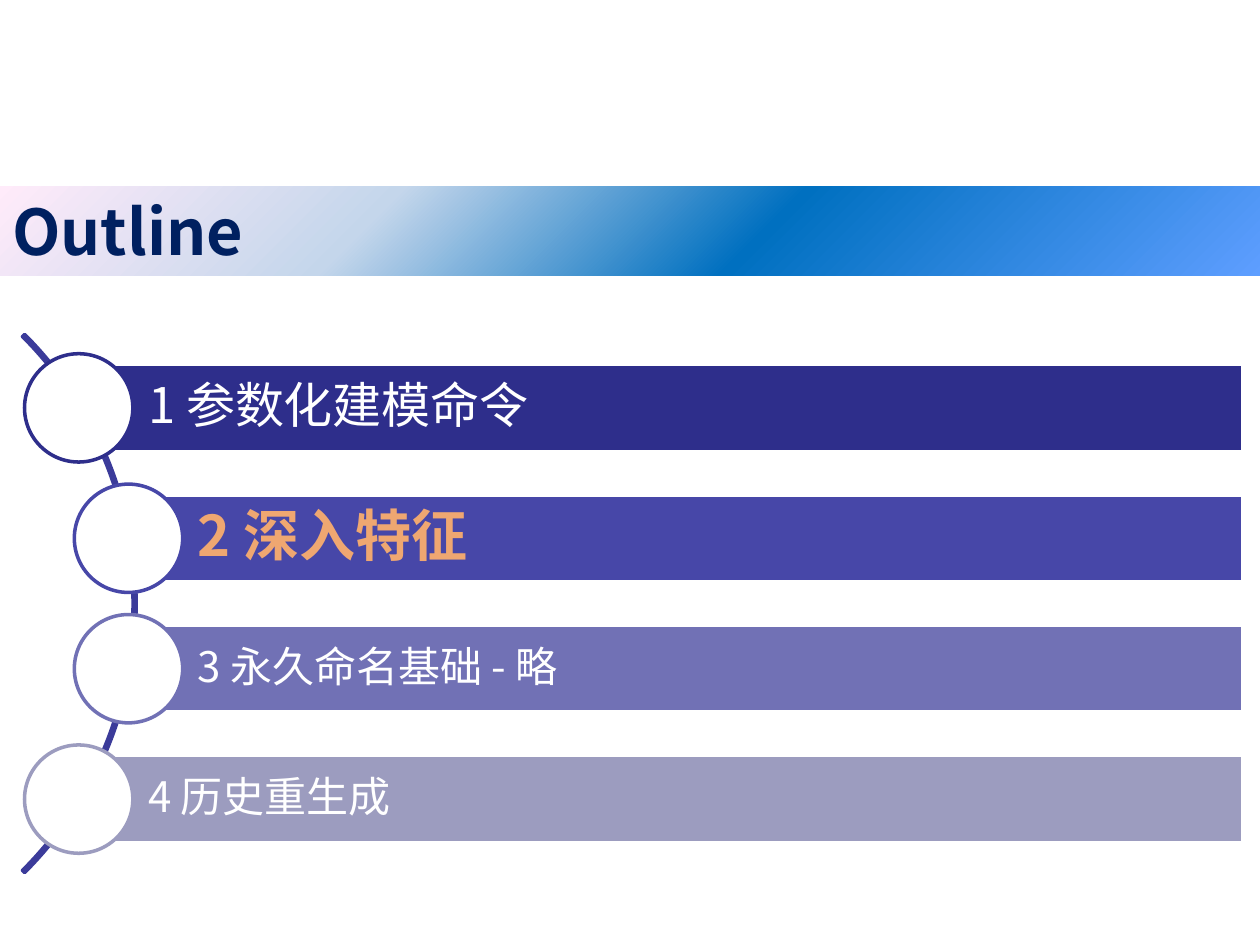
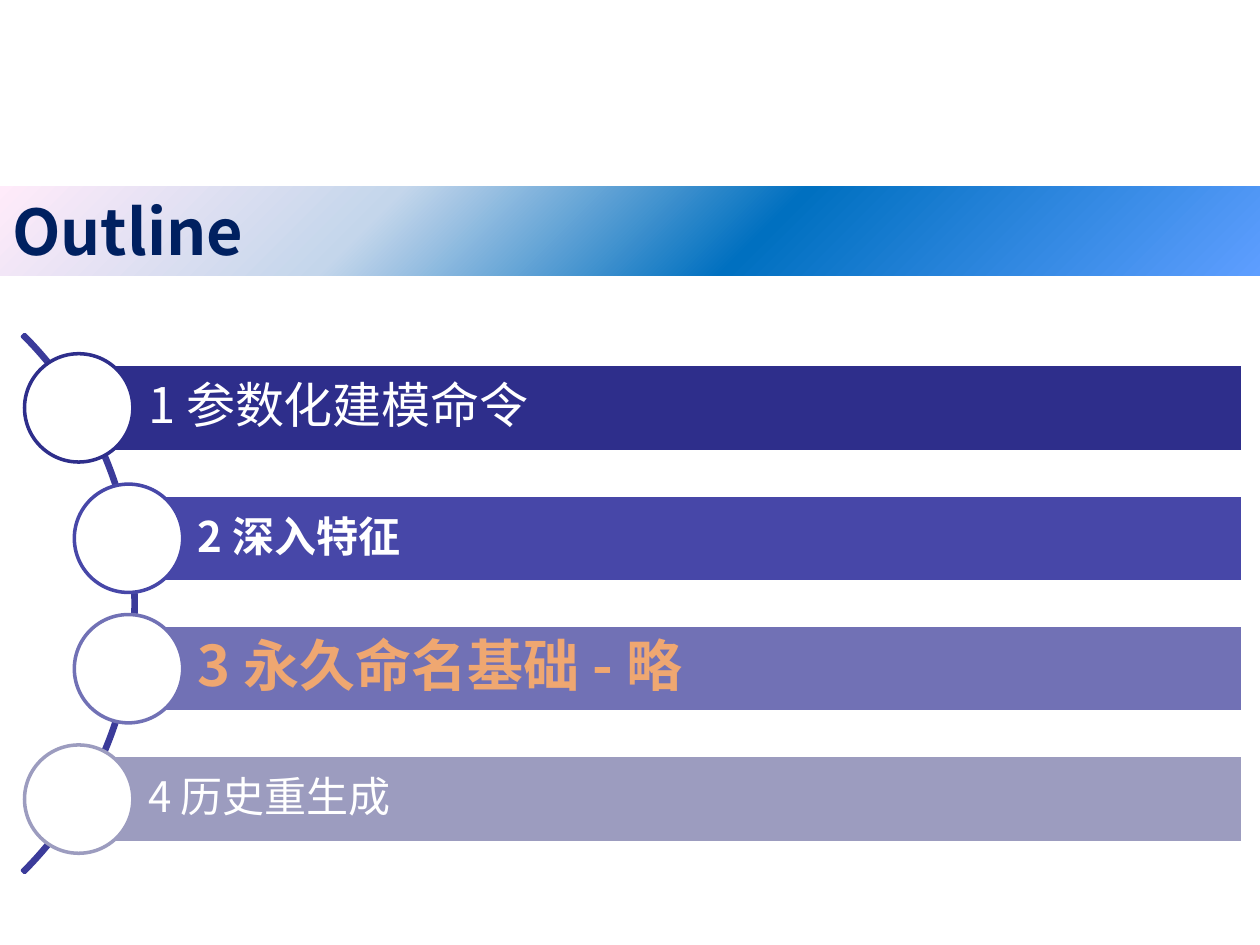
from dataclasses import dataclass

from lxml import etree
from pptx import Presentation
from pptx import util as u
from pptx.dml.color import RGBColor
from pptx.enum import shapes, text
from pptx.oxml.ns import qn

SHAPE = shapes.MSO_SHAPE


@dataclass(frozen=True)
class Theme:
    font: str = "Noto Sans CJK SC"
    white: str = "FFFFFF"
    title: str = "002060"
    arc: str = "3B3B9A"
    active: str = "EFA771"
    band: tuple = ((0, "5E9EFF"), (40, "0070C0"), (70, "C4D6EB"), (100, "FFEBFA"))
    band_angle: int = 225
    title_size: int = 36
    active_size: int = 32
    line: int = 2


@dataclass(frozen=True)
class Topic:
    label: str
    color: str
    left: float
    size: int = 24
    bold: bool = False


T = Theme()
WIDTH, HEIGHT = 10, 7.5

# Topic list: equal rows, the circles centred on the left ends of the bars
MIDDLE, PITCH = 4.79, 1.035
BAR_HEIGHT, BAR_RIGHT = 0.69, 9.86
CIRCLE = 0.86
ARC, ARC_CENTER = 6.04, -1.94
OUTER, INNER = 0.625, 1.02

TOPICS = (
    Topic("1 参数化建模命令", "2E2E8B", OUTER, size=28),
    Topic("2 深入特征", "4747A8", INNER, bold=True),
    Topic("3 永久命名基础 - 略", "7171B5", INNER),
    Topic("4 历史重生成", "9C9CBF", OUTER),
)


def rgb(color):
    return RGBColor.from_string(color)


def add_shape(parent, kind, box, fill=None, line=None):
    sp = parent.add_shape(kind, *map(u.Inches, box))
    sp.shadow.inherit = False
    if fill:
        sp.fill.solid()
        sp.fill.fore_color.rgb = rgb(fill)
    else:
        sp.fill.background()
    if line:
        sp.line.color.rgb = rgb(line)
        sp.line.width = u.Pt(T.line)
    else:
        sp.line.fill.background()
    return sp


def set_gradient(sp, stops, angle):
    """Fill with any number of (percent, colour) stops, angle clockwise."""
    sp.fill.gradient()
    grad = sp._element.spPr.find(qn("a:gradFill"))
    for child in list(grad):
        grad.remove(child)
    stop_list = etree.SubElement(grad, qn("a:gsLst"))
    for percent, color in stops:
        stop = etree.SubElement(stop_list, qn("a:gs"), pos=str(percent * 1000))
        etree.SubElement(stop, qn("a:srgbClr"), val=color)
    etree.SubElement(grad, qn("a:lin"), ang=str(angle * 60000), scaled="0")


def write(tf, content, size, color, bold=False, **frame):
    """Write one left-aligned paragraph; frame holds text frame settings."""
    for name, value in {"word_wrap": True, **frame}.items():
        setattr(tf, name, value)
    p = tf.paragraphs[0]
    p.alignment = text.PP_ALIGN.LEFT
    r = p.add_run()
    r.text = content
    for name, value in {"name": T.font, "size": u.Pt(size), "bold": bold}.items():
        setattr(r.font, name, value)
    r.font.color.rgb = rgb(color)
    etree.SubElement(r._r.get_or_add_rPr(), qn("a:ea"), typeface=T.font)
    return p


def add_title_band(s, title):
    sp = add_shape(s.shapes, SHAPE.RECTANGLE, (0, 1.48, WIDTH, 0.71))
    set_gradient(sp, T.band, T.band_angle)
    write(sp.text_frame, title, T.title_size, T.title, bold=True,
          vertical_anchor=text.MSO_ANCHOR.TOP,
          auto_size=text.MSO_AUTO_SIZE.SHAPE_TO_FIT_TEXT)


def add_arc(parent):
    box = (ARC_CENTER - ARC / 2, MIDDLE - ARC / 2, ARC, ARC)
    sp = add_shape(parent, SHAPE.BLOCK_ARC, box, line=T.arc)
    for i, value in enumerate((189, 27, 0.004)):
        sp.adjustments[i] = value


def add_topic(parent, topic, center, active):
    bar = (topic.left, center - BAR_HEIGHT / 2, BAR_RIGHT - topic.left, BAR_HEIGHT)
    add_shape(parent, SHAPE.RECTANGLE, bar, topic.color, T.white)

    size = T.active_size if active else topic.size
    inset = u.Inches(size / 360)
    label = parent.add_textbox(*map(u.Inches, bar))
    p = write(label.text_frame, topic.label, size,
              T.active if active else T.white, active or topic.bold,
              vertical_anchor=text.MSO_ANCHOR.MIDDLE, margin_left=u.Inches(0.55),
              margin_top=inset, margin_right=inset, margin_bottom=inset)
    p.line_spacing = 0.9

    circle = (topic.left - CIRCLE / 2, center - CIRCLE / 2, CIRCLE, CIRCLE)
    add_shape(parent, SHAPE.OVAL, circle, T.white, topic.color)


def add_outline(prs, active_row):
    s = prs.slides.add_slide(prs.slide_layouts[6])
    add_title_band(s, "Outline")
    group = s.shapes.add_group_shape().shapes
    add_arc(group)
    for row, topic in enumerate(TOPICS):
        center = MIDDLE + (row - (len(TOPICS) - 1) / 2) * PITCH
        add_topic(group, topic, center, row == active_row)


def main():
    prs = Presentation()
    prs.slide_width, prs.slide_height = u.Inches(WIDTH), u.Inches(HEIGHT)
    for active_row in (1, 2):
        add_outline(prs, active_row)
    prs.save("out.pptx")


if __name__ == "__main__":
    main()
